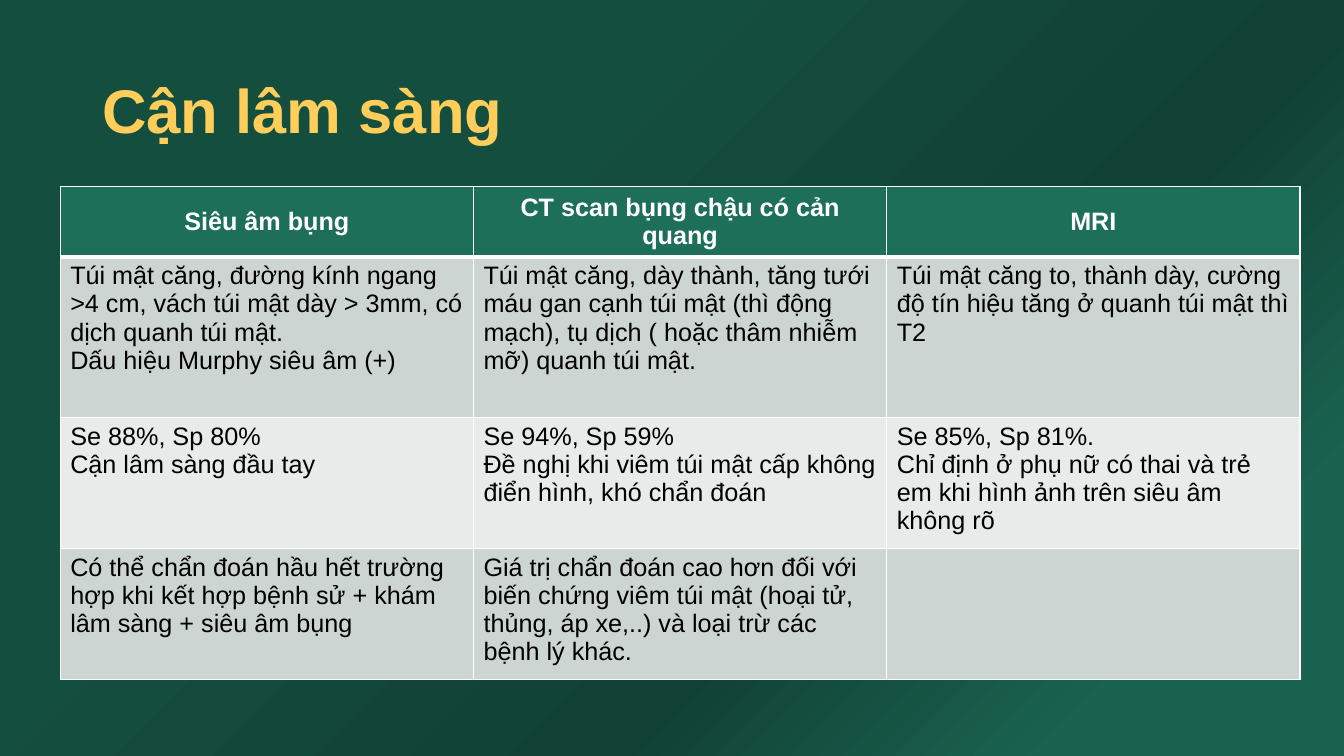
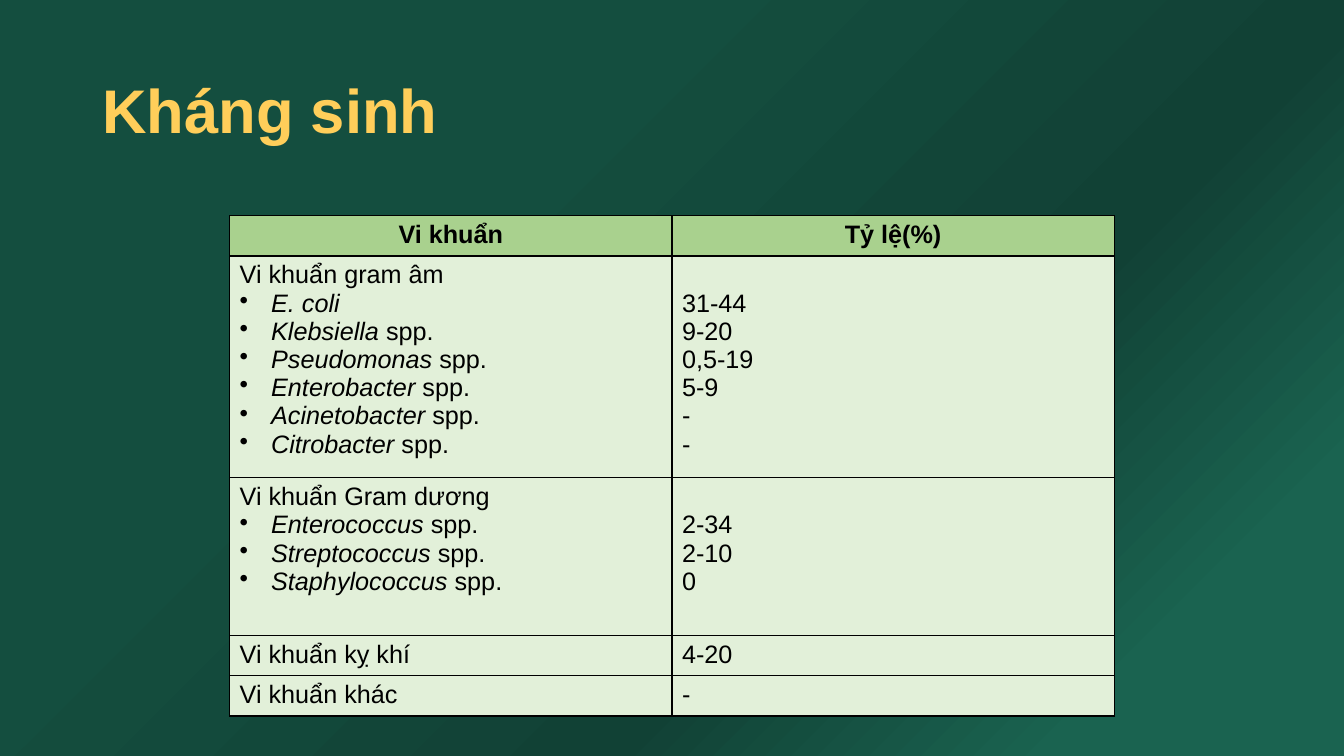
from collections import namedtuple
from dataclasses import dataclass

from pptx import Presentation
from pptx.dml.color import RGBColor
from pptx.enum.text import MSO_ANCHOR, PP_ALIGN
from pptx.oxml import parse_xml
from pptx.oxml.ns import nsdecls, qn
from pptx.oxml.xmlchemy import OxmlElement
from pptx.util import Pt


@dataclass(frozen=True)
class Theme:
    font: str = "Arial"
    title_size: int = 44
    table_size: int = 18
    title_color: str = "FFCE5A"
    white: str = "FFFFFF"
    black: str = "000000"
    header_green: str = "1D6F5A"
    band_dark: str = "CDD5D2"
    band_light: str = "E8EBEA"
    leaf_header: str = "A9D18E"
    leaf_body: str = "E2F0D9"
    # position %, colour, opacity %
    background: tuple = ((0, "1A6350", 79), (14, "1A6350", 100),
                         (35, "114135", 100), (68, "144E3F", 100))
    background_angle: int = 135


TableStyle = namedtuple(
    "TableStyle", "header_fill header_color body_fills border header_rule header_anchor")
Species = namedtuple("Species", "genus suffix", defaults=[" spp."])


def set_all(target, values):
    for name, value in values.items():
        setattr(target, name, value)


class Deck:
    def __init__(self, theme):
        self.theme = theme
        self.presentation = Presentation()
        set_all(self.presentation, {"slide_width": Pt(960), "slide_height": Pt(540)})
        self.slide = None
        self.paint_background()

    def paint_background(self):
        """Put the shared gradient on the slide master."""
        master = self.presentation.slide_master
        fill = master.background.fill
        fill.gradient()
        fill.gradient_angle = self.theme.background_angle
        stops = "".join(
            f'<a:gs pos="{position * 1000}"><a:srgbClr val="{color}">'
            f'<a:alpha val="{opacity * 1000}"/></a:srgbClr></a:gs>'
            for position, color, opacity in self.theme.background)
        stop_list = master.element.find(f".//{qn('p:bg')}//{qn('a:gsLst')}")
        stop_list.getparent().replace(
            stop_list, parse_xml(f"<a:gsLst {nsdecls('a')}>{stops}</a:gsLst>"))

    def add_slide(self, title):
        self.slide = self.presentation.slides.add_slide(self.presentation.slide_layouts[6])
        box = self.slide.shapes.add_textbox(Pt(66), Pt(29), Pt(828), Pt(104))
        set_all(box.text_frame, {"word_wrap": True, "vertical_anchor": MSO_ANCHOR.MIDDLE})
        paragraph = box.text_frame.paragraphs[0]
        paragraph.line_spacing = 0.9
        self.add_run(paragraph, title, self.theme.title_color,
                     size=Pt(self.theme.title_size), bold=True)

    def add_run(self, paragraph, text, color, **formats):
        run = paragraph.add_run()
        run.text = text
        set_all(run.font, {"name": self.theme.font, "size": Pt(self.theme.table_size),
                           "bold": False, **formats})
        run.font.color.rgb = RGBColor.from_string(color)

    def add_bullet(self, paragraph):
        properties = paragraph._p.get_or_add_pPr()
        properties.set("marL", str(Pt(22.5)))
        properties.set("indent", str(-Pt(22.5)))
        bullet = OxmlElement("a:buChar")
        bullet.set("char", "•")
        properties.append(bullet)

    def add_borders(self, cell, color, top, bottom):
        properties = cell._tc.get_or_add_tcPr()
        for side, width in {"L": 1, "R": 1, "T": top, "B": bottom}.items():
            properties.append(parse_xml(
                f'<a:ln{side} {nsdecls("a")} w="{Pt(width)}"><a:solidFill>'
                f'<a:srgbClr val="{color}"/></a:solidFill></a:ln{side}>'))

    def fill_cell(self, cell, lines, color, header):
        for index, line in enumerate(lines):
            frame = cell.text_frame
            paragraph = frame.add_paragraph() if index else frame.paragraphs[0]
            if header:
                paragraph.alignment = PP_ALIGN.CENTER
            if isinstance(line, Species):
                self.add_bullet(paragraph)
                self.add_run(paragraph, line.genus, color, italic=True)
                if line.suffix:
                    self.add_run(paragraph, line.suffix, color)
            else:
                self.add_run(paragraph, line, color, bold=header)

    def add_table(self, rows, left, top, column_width, row_heights, style, lowered=()):
        """Draw rows of cells; cells in lowered start one text line further down."""
        columns = len(rows[0])
        table = self.slide.shapes.add_table(
            len(rows), columns, Pt(left), Pt(top),
            Pt(column_width * columns), Pt(sum(row_heights))).table
        set_all(table, {"first_row": False, "horz_banding": False})
        for column in table.columns:
            column.width = Pt(column_width)
        for row_index, (row, height) in enumerate(zip(rows, row_heights)):
            table.rows[row_index].height = Pt(height)
            header = row_index == 0
            fills = style.body_fills
            fill = style.header_fill if header else fills[(row_index - 1) % len(fills)]
            for column_index, lines in enumerate(row):
                cell = table.cell(row_index, column_index)
                self.add_borders(cell, style.border,
                                 top=style.header_rule if row_index == 1 else 1,
                                 bottom=style.header_rule if header else 1)
                cell.fill.solid()
                cell.fill.fore_color.rgb = RGBColor.from_string(fill)
                if header:
                    cell.vertical_anchor = style.header_anchor
                if (row_index, column_index) in lowered:
                    cell.margin_top = Pt(23.8)
                color = style.header_color if header else self.theme.black
                self.fill_cell(cell, lines, color, header)


def add_imaging_slide(deck):
    theme = deck.theme
    deck.add_slide("Cận lâm sàng")
    rows = [
        [["Siêu âm bụng"], ["CT scan bụng chậu có cản quang"], ["MRI"]],
        [["Túi mật căng, đường kính ngang >4 cm, vách túi mật dày > 3mm, "
          "có dịch quanh túi mật.", "Dấu hiệu Murphy siêu âm (+)"],
         ["Túi mật căng, dày thành, tăng tưới máu gan cạnh túi mật (thì động mạch), "
          "tụ dịch ( hoặc thâm nhiễm mỡ) quanh túi mật."],
         ["Túi mật căng to, thành dày, cường độ tín hiệu tăng ở quanh túi mật thì T2"]],
        [["Se 88%, Sp 80%", "Cận lâm sàng đầu tay"],
         ["Se 94%, Sp 59%", "Đề nghị khi viêm túi mật cấp không điển hình, khó chẩn đoán"],
         ["Se 85%, Sp 81%.",
          "Chỉ định ở phụ nữ có thai và trẻ em khi hình ảnh trên siêu âm không rõ"]],
        [["Có thể chẩn đoán hầu hết trường hợp khi kết hợp bệnh sử + khám lâm sàng "
          "+ siêu âm bụng"],
         ["Giá trị chẩn đoán cao hơn đối với biến chứng viêm túi mật (hoại tử, thủng, "
          "áp xe,..) và loại trừ các bệnh lý khác."],
         []],
    ]
    style = TableStyle(theme.header_green, theme.white, (theme.band_dark, theme.band_light),
                       theme.white, 3, MSO_ANCHOR.MIDDLE)
    deck.add_table(rows, 43, 133, 295.2, [50.5, 114.5, 93, 93.5], style)


def add_antibiotics_slide(deck):
    theme = deck.theme
    deck.add_slide("Kháng sinh")
    rows = [
        [["Vi khuẩn"], ["Tỷ lệ(%)"]],
        [["Vi khuẩn gram âm", Species("E. coli", ""), Species("Klebsiella"),
          Species("Pseudomonas"), Species("Enterobacter"), Species("Acinetobacter"),
          Species("Citrobacter")],
         ["31-44", "9-20", "0,5-19", "5-9", "-", "-"]],
        [["Vi khuẩn Gram dương", Species("Enterococcus"), Species("Streptococcus"),
          Species("Staphylococcus")],
         ["2-34", "2-10", "0"]],
        [["Vi khuẩn kỵ khí"], ["4-20"]],
        [["Vi khuẩn khác"], ["-"]],
    ]
    style = TableStyle(theme.leaf_header, theme.black, (theme.leaf_body,),
                       theme.black, 1, MSO_ANCHOR.TOP)
    deck.add_table(rows, 164, 154, 316, [27, 148.5, 112.5, 27, 27], style,
                   lowered={(1, 1), (2, 1)})


def main():
    deck = Deck(Theme())
    add_imaging_slide(deck)
    add_antibiotics_slide(deck)
    deck.presentation.save("out.pptx")


if __name__ == "__main__":
    main()
